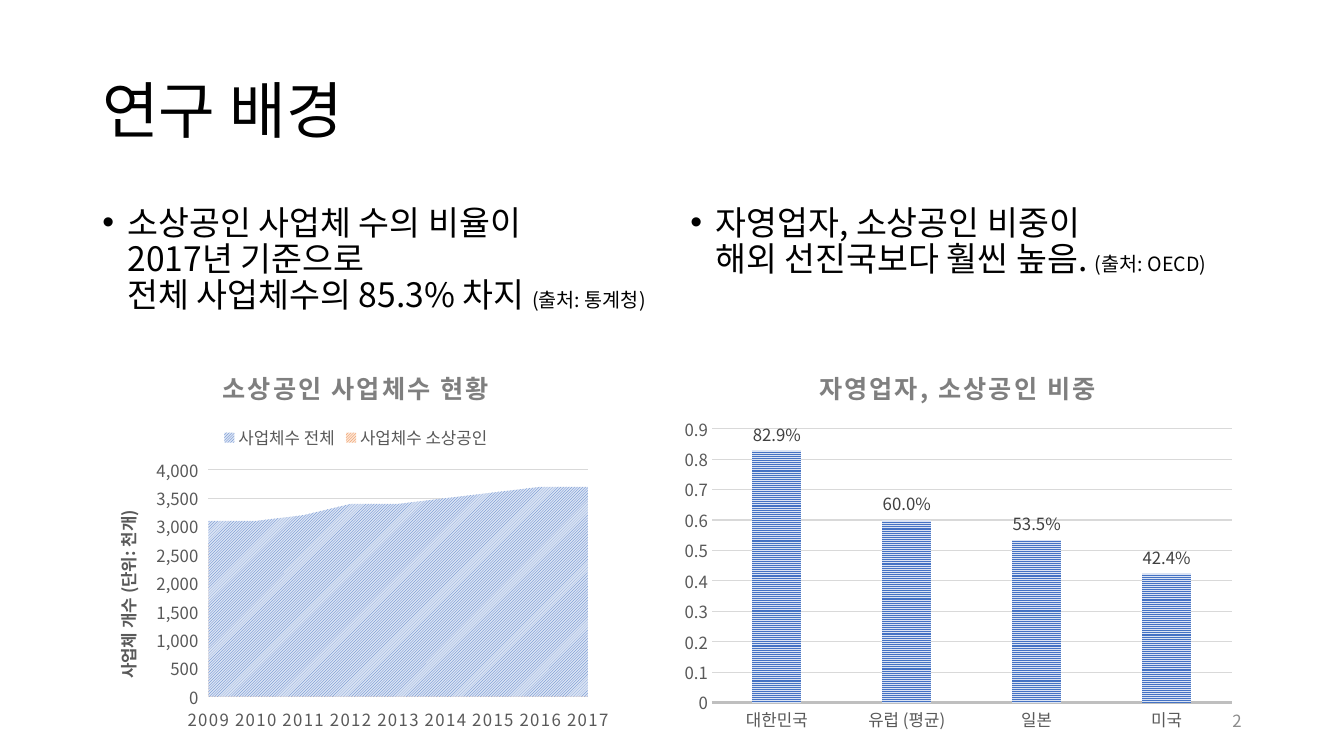
from lxml import etree
from pptx import Presentation
from pptx.chart.data import CategoryChartData
from pptx.dml.color import RGBColor
from pptx.enum.chart import XL_CHART_TYPE as ChartType, XL_LABEL_POSITION as LabelPos
from pptx.enum.chart import XL_LEGEND_POSITION as LegendPos, XL_TICK_MARK as Tick
from pptx.enum.dml import MSO_PATTERN as Pattern
from pptx.enum.text import MSO_ANCHOR as Anchor, PP_ALIGN as Align
from pptx.oxml.ns import qn
from pptx.util import Pt

FONT = "Noto Sans CJK KR"
BLACK, GRAY = "000000", "595959"


def color(hex_code):
    return RGBColor.from_string(hex_code)


def style(font, size, hex_code, bold=False):
    font.name, font.size, font.bold = FONT, Pt(size), bold
    font.color.rgb = color(hex_code)


def add_run(paragraph, text, size, hex_code=BLACK, bold=False):
    run = paragraph.add_run()
    run.text = text
    style(run.font, size, hex_code, bold)
    return run


def add_frame(slide, box, anchor=Anchor.TOP):
    frame = slide.shapes.add_textbox(*map(Pt, box)).text_frame
    frame.word_wrap = True
    frame.vertical_anchor = anchor
    return frame.paragraphs[0]


def add_title(slide, box):
    title = add_frame(slide, box, Anchor.MIDDLE)
    title.line_spacing = 0.9
    add_run(title, "연구 배경", 44)


def add_bullet(slide, box, lines, source):
    bullet = add_frame(slide, box)
    bullet.line_spacing = 0.9
    props = bullet._p.get_or_add_pPr()
    props.set("marL", str(Pt(18)))
    props.set("indent", str(-Pt(18)))
    etree.SubElement(props, qn("a:buFont"), typeface="Arial")
    etree.SubElement(props, qn("a:buChar"), char="•")
    for number, line in enumerate(lines):
        if number:
            bullet.add_line_break()
        add_run(bullet, line, 24)
    add_run(bullet, source, 14)


def add_heading(owner, text, size, hex_code, spacing):
    """Set a bold title on a chart or an axis; spacing is in 1/100 point."""
    owner.has_title = True
    title = owner.chart_title if hasattr(owner, "chart_title") else owner.axis_title
    run = add_run(title.text_frame.paragraphs[0], text, size, hex_code, True)
    run._r.get_or_add_rPr().set("spc", str(spacing))


def place_plot(chart, bounds):
    """Fix the inner plot area as fractions of the chart."""
    area = chart._chartSpace.chart.plotArea
    for old in area.findall(qn("c:layout")):
        area.remove(old)
    layout = etree.Element(qn("c:layout"))
    manual = etree.SubElement(layout, qn("c:manualLayout"))
    settings = [("layoutTarget", "inner"), ("xMode", "edge"), ("yMode", "edge")]
    for tag, value in settings + list(zip("xywh", bounds)):
        etree.SubElement(manual, qn(f"c:{tag}"), val=str(value))
    area.insert(0, layout)


def add_chart(slide, box, kind, title, categories, series, pattern, tick, top, step, bounds):
    """series holds (name, values, foreground, background)."""
    data = CategoryChartData()
    data.categories = categories
    for name, values, *_ in series:
        data.add_series(name, values)
    chart = slide.shapes.add_chart(kind, *map(Pt, box), data).chart
    style(chart.font, 10, BLACK)
    add_heading(chart, title, 18, "7F7F7F", 150)
    chart.has_legend = False
    chart.plots[0].vary_by_categories = False
    for drawn, (_, _, front, back) in zip(chart.plots[0].series, series):
        fill = drawn.format.fill
        fill.patterned()
        fill.pattern = pattern
        fill.fore_color.rgb, fill.back_color.rgb = color(front), color(back)
    for axis in (chart.category_axis, chart.value_axis):
        style(axis.tick_labels.font, 12, GRAY)
        axis.major_tick_mark, axis.minor_tick_mark = tick, Tick.NONE
        axis.format.line.fill.background()
    scale = chart.value_axis
    scale.minimum_scale, scale.maximum_scale, scale.major_unit = 0, top, step
    grid = scale.major_gridlines.format.line
    grid.color.rgb, grid.width = color("D9D9D9"), Pt(0.75)
    place_plot(chart, bounds)
    return chart


def add_business_chart(slide, box):
    chart = add_chart(
        slide, box, ChartType.AREA, "소상공인 사업체수 현황",
        [str(year) for year in range(2009, 2018)],
        [("사업체수 전체", (3100, 3100, 3200, 3400, 3400, 3500, 3600, 3700, 3700),
          "4472C4", "DAE3F3"),
         ("사업체수 소상공인", (2700, 2700, 2800, 2900, 3000, 3100, 3100, 3100, 3200),
          "ED7D31", "FBE5D6")],
        Pattern.LIGHT_UPWARD_DIAGONAL, Tick.OUTSIDE, 4000, 500, (0.22, 0.31, 0.72, 0.58))
    chart.has_legend = True
    chart.legend.position = LegendPos.TOP
    chart.legend.include_in_layout = False
    style(chart.legend.font, 12, GRAY)
    labels = chart.value_axis.tick_labels
    labels.number_format, labels.number_format_is_linked = "#,##0", False
    add_heading(chart.value_axis, "사업체 개수 (단위: 천개)", 12, GRAY, 0)
    years = chart.category_axis
    years.tick_labels.font._element.set("spc", "100")
    crossing = chart.value_axis._element.find(qn("c:crossBetween"))
    if crossing is None:
        crossing = etree.Element(qn("c:crossBetween"))
        chart.value_axis._element.find(qn("c:crosses")).addnext(crossing)
    crossing.set("val", "midCat")


def add_share_chart(slide, box):
    chart = add_chart(
        slide, box, ChartType.COLUMN_CLUSTERED, "자영업자, 소상공인 비중",
        ["대한민국", "유럽 (평균)", "일본", "미국"],
        [("Series 1", (0.829, 0.6, 0.535, 0.424), "4472C4", "DAE3F3")],
        Pattern.NARROW_HORIZONTAL, Tick.NONE, 0.9, 0.1, (0.07, 0.205, 0.91, 0.7))
    plot = chart.plots[0]
    plot.gap_width, plot.overlap = 164, -22
    plot.has_data_labels = True
    labels = plot.data_labels
    labels.show_value, labels.position = True, LabelPos.OUTSIDE_END
    labels.number_format, labels.number_format_is_linked = "0.0%", False
    style(labels.font, 12, "404040")
    baseline = chart.category_axis.format.line
    baseline.color.rgb, baseline.width = color("BFBFBF"), Pt(1.5)


def add_page_number(slide, box):
    number = add_frame(slide, box, Anchor.MIDDLE)
    number.alignment = Align.RIGHT
    add_run(number, "2", 12, "8C8C8C")


def main():
    deck = Presentation()
    deck.slide_width, deck.slide_height = Pt(960), Pt(540)
    slide = deck.slides.add_slide(deck.slide_layouts[6])
    add_title(slide, (66, 28.75, 828, 104.4))
    add_bullet(slide, (66, 143.75, 408, 342.6),
               ["소상공인 사업체 수의 비율이 ", "2017년 기준으로 ",
                "전체 사업체수의 85.3% 차지 "], "(출처: 통계청)")
    add_bullet(slide, (486, 143.75, 408, 342.6),
               ["자영업자, 소상공인 비중이 ", "해외 선진국보다 훨씬 높음. "], "(출처: OECD)")
    add_business_chart(slide, (66, 249, 376.5, 279.5))
    add_share_chart(slide, (480, 249, 408, 279.5))
    add_page_number(slide, (678, 500.5, 216, 28.75))
    deck.save("out.pptx")


if __name__ == "__main__":
    main()
